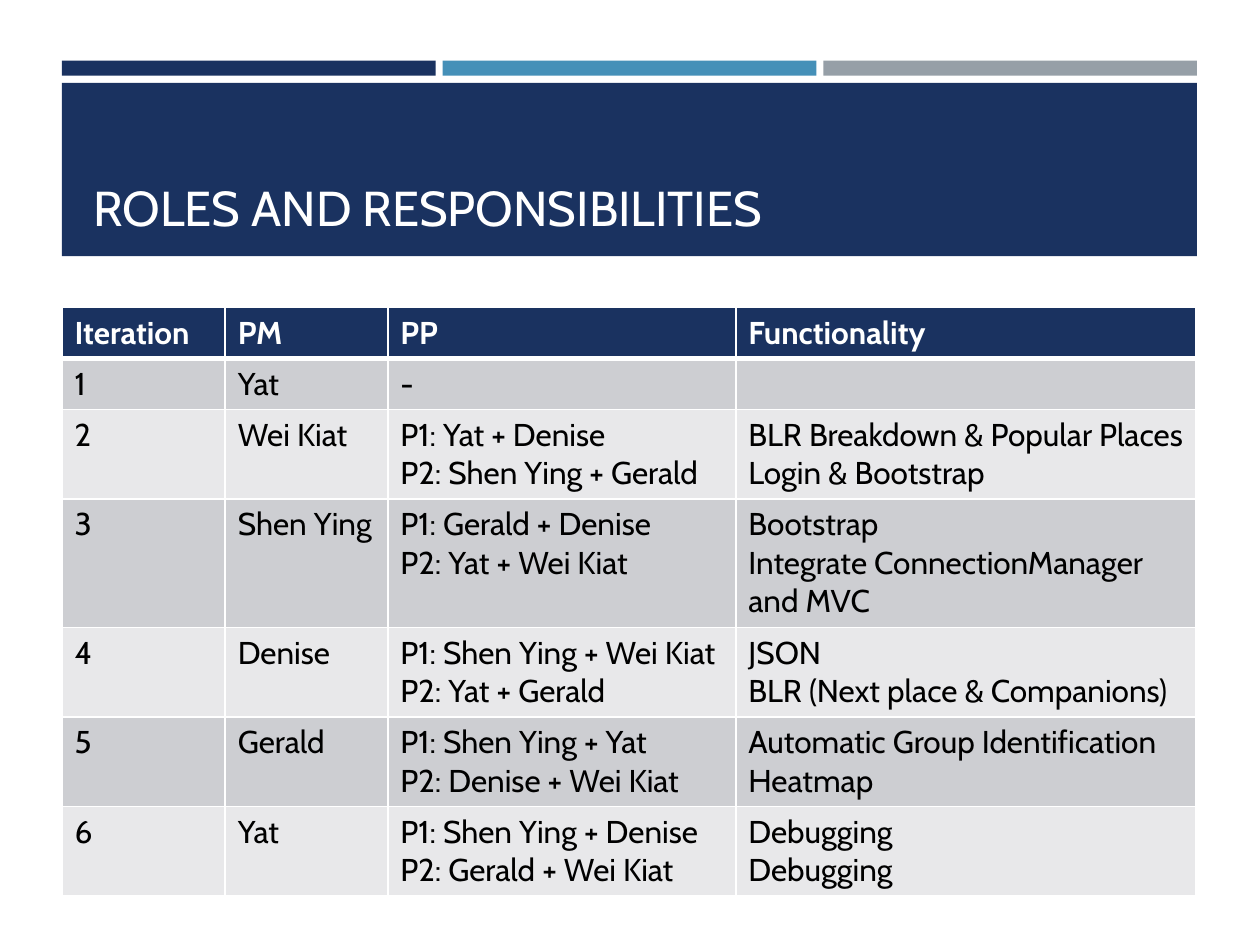
from lxml import etree
from pptx import Presentation
from pptx.dml.color import RGBColor
from pptx.enum import shapes, text
from pptx.oxml import ns
from pptx.util import Pt

COLORS = {
    "navy": "1A3260",
    "blue": "4590B8",
    "gray": "969FA7",
    "white": "FFFFFF",
    "black": "000000",
    "dark band": "CDCED2",
    "light band": "E8E8EA",
}
FONT = "Cabin"
HEADERS = ["Iteration", "PM", "PP", "Functionality"]
ITERATIONS = [
    ("1", "Yat", "-", ""),
    ("2", "Wei Kiat", "P1: Yat + Denise\nP2: Shen Ying + Gerald",
     "BLR Breakdown & Popular Places\nLogin & Bootstrap"),
    ("3", "Shen Ying", "P1: Gerald + Denise\nP2: Yat + Wei Kiat",
     "Bootstrap\nIntegrate ConnectionManager and MVC"),
    ("4", "Denise", "P1: Shen Ying + Wei Kiat\nP2: Yat + Gerald",
     "JSON\nBLR (Next place & Companions)"),
    ("5", "Gerald", "P1: Shen Ying + Yat\nP2: Denise + Wei Kiat",
     "Automatic Group Identification\nHeatmap"),
    ("6", "Yat", "P1: Shen Ying + Denise\nP2: Gerald + Wei Kiat",
     "Debugging\nDebugging"),
]
COLUMN_WIDTHS = [93.3, 92.9, 198.9, 262.9]
LINE_COUNTS = [1, 1, 2, 3, 2, 2, 2]
LINE_HEIGHT = 22
CELL_PADDING = 7.2


def rgb(name):
    return RGBColor.from_string(COLORS[name])


def write_text(frame, content, size=18, color="black", bold=False):
    for index, line in enumerate(content.split("\n")):
        para = frame.paragraphs[0] if index == 0 else frame.add_paragraph()
        if line:
            span = para.add_run()
            span.text = line
            span.font.name = FONT
            span.font.size = Pt(size)
            span.font.bold = bold
            span.font.color.rgb = rgb(color)


def add_bar(page, left, top, width, height, color):
    bar = page.shapes.add_shape(
        shapes.MSO_SHAPE.RECTANGLE, Pt(left), Pt(top), Pt(width), Pt(height))
    bar.shadow.inherit = False
    bar.fill.solid()
    bar.fill.fore_color.rgb = rgb(color)
    bar.line.fill.background()


def add_accent_bars(page, left, top, width, height, gap=4):
    names = ["navy", "blue", "gray"]
    bar_width = (width - gap * (len(names) - 1)) / len(names)
    for index, name in enumerate(names):
        add_bar(page, left + index * (bar_width + gap), top, bar_width, height, name)


def add_title(page, left, top, width, height, title):
    add_bar(page, left, top, width, height, "navy")
    box = page.shapes.add_textbox(
        Pt(left + 10.8), Pt(top + 6.5), Pt(width - 19.6), Pt(height - 14.4))
    frame = box.text_frame
    frame.word_wrap = True
    frame.vertical_anchor = text.MSO_ANCHOR.BOTTOM
    write_text(frame, title, size=28, color="white")


def set_borders(cell, top=1, bottom=1):
    properties = cell._tc.get_or_add_tcPr()
    for side, weight in (("L", 1), ("R", 1), ("T", top), ("B", bottom)):
        line = etree.SubElement(properties, ns.qn(f"a:ln{side}"), w=str(Pt(weight)))
        fill = etree.SubElement(line, ns.qn("a:solidFill"))
        etree.SubElement(fill, ns.qn("a:srgbClr"), val=COLORS["white"])


def add_roles_table(page, left, top):
    heights = [CELL_PADDING + count * LINE_HEIGHT for count in LINE_COUNTS]
    table = page.shapes.add_table(
        len(heights), len(HEADERS), Pt(left), Pt(top),
        Pt(sum(COLUMN_WIDTHS)), Pt(sum(heights))).table
    for column, width in zip(table.columns, COLUMN_WIDTHS):
        column.width = Pt(width)
    for row_index, values in enumerate([HEADERS, *ITERATIONS]):
        row = table.rows[row_index]
        row.height = Pt(heights[row_index])
        header = row_index == 0
        band = "navy" if header else "dark band" if row_index % 2 else "light band"
        for cell, value in zip(row.cells, values):
            set_borders(cell, top=3 if row_index == 1 else 1, bottom=3 if header else 1)
            cell.fill.solid()
            cell.fill.fore_color.rgb = rgb(band)
            write_text(cell.text_frame, value,
                       color="white" if header else "black", bold=header)


def main():
    deck = Presentation()
    deck.slide_width, deck.slide_height = Pt(720), Pt(540)
    page = deck.slides.add_slide(deck.slide_layouts[6])
    left, width = 35.4, 648.6
    add_accent_bars(page, left, 34.7, width, 8.5)
    add_title(page, left, 47.4, width, 99, "ROLES AND RESPONSIBILITIES")
    add_roles_table(page, left, 175.7)
    deck.save("out.pptx")


if __name__ == "__main__":
    main()
